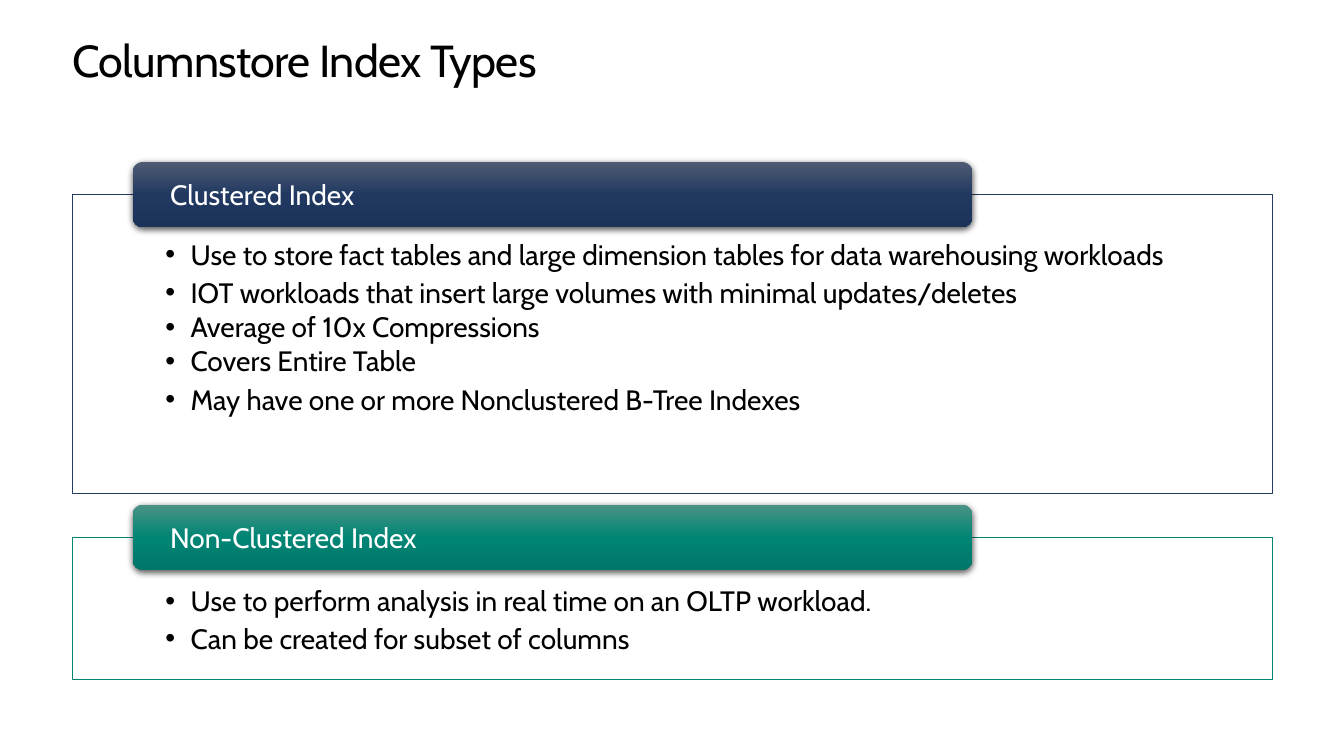
from copy import deepcopy

from pptx import Presentation
from pptx.dml.color import RGBColor as RGB
from pptx.enum.shapes import MSO_SHAPE as SHAPE
from pptx.enum.text import MSO_ANCHOR as ANCHOR, MSO_AUTO_SIZE as AUTO, PP_ALIGN as ALIGN
from pptx.oxml.ns import qn
from pptx.oxml.xmlchemy import OxmlElement
from pptx.util import Inches, Pt

BLACK = RGB(0x00, 0x00, 0x00)
WHITE = RGB(0xFF, 0xFF, 0xFF)
NAVY = RGB(0x24, 0x3A, 0x5E)
TEAL = RGB(0x00, 0x85, 0x75)
NAVY_SHADES = RGB(0x50, 0x5B, 0x73), RGB(0x21, 0x39, 0x61), RGB(0x1B, 0x32, 0x59)
TEAL_SHADES = RGB(0x4B, 0x93, 0x85), TEAL, RGB(0x00, 0x76, 0x68)

TIGHT, NORMAL = 0.9, 1.0
SECTIONS = [
    ("Clustered Index", NAVY, NAVY_SHADES, 5.94, 9.11, [
        ("Use to store fact tables and large dimension tables for data warehousing workloads", TIGHT),
        ("IOT workloads that insert large volumes with minimal updates/deletes", NORMAL),
        ("Average of 10x Compressions", TIGHT),
        ("Covers Entire Table", TIGHT),
        ("May have one or more Nonclustered B-Tree Indexes", NORMAL),
    ]),
    ("Non-Clustered Index", TEAL, TEAL_SHADES, 16.4, 4.34, [
        ("Use to perform analysis in real time on an OLTP workload.", NORMAL),
        ("Can be created for subset of columns", NORMAL),
    ]),
]


def assign(obj, values):
    for name, value in values.items():
        setattr(obj, name, value)


def add_child(parent, tag, **attrs):
    child = OxmlElement(tag)
    for name, value in attrs.items():
        child.set(name, str(value))
    parent.append(child)
    return child


class Deck:
    """Style and current slide; 20 columns inside the margin, rows half a tab high."""

    FONT = "Cabin"
    MARGIN, COL, ROW = 0.72, 0.595, 0.325
    COLS = 20

    def __init__(self, prs):
        self.slide = prs.slides.add_slide(prs.slide_layouts[3])

    def box(self, col, row, cols, rows):
        return dict(left=Inches(self.MARGIN + col * self.COL), top=Inches(row * self.ROW),
                    width=Inches(cols * self.COL), height=Inches(rows * self.ROW))

    def frame(self, sp, anchor, left=0, top=0, bottom=0):
        tf = sp.text_frame
        assign(tf, dict(word_wrap=True, auto_size=AUTO.NONE, vertical_anchor=anchor,
                        margin_left=Inches(left), margin_right=Inches(left),
                        margin_top=Inches(top), margin_bottom=Inches(bottom)))
        return tf

    def add_text(self, p, text, color, size=20, spacing=NORMAL, after=0):
        assign(p, dict(alignment=ALIGN.LEFT, line_spacing=spacing,
                       space_before=Pt(0), space_after=Pt(after)))
        r = p.add_run()
        r.text = text
        assign(r.font, dict(name=self.FONT, size=Pt(size)))
        r.font.color.rgb = color
        return r

    def title(self, text):
        sp = self.slide.shapes.title
        assign(sp, self.box(0, 1.08, self.COLS, 1.55))
        p = self.frame(sp, ANCHOR.TOP).paragraphs[0]
        r = self.add_text(p, text, BLACK, size=32, spacing=Pt(36.2))
        r.font._element.set("spc", "-50")

    def panel(self, sp, row, rows, color, items):
        assign(sp, self.box(0, row, self.COLS, rows))
        sp.fill.solid()
        sp.fill.fore_color.rgb = WHITE
        white = sp._element.spPr.find(qn("a:solidFill")).find(qn("a:srgbClr"))
        add_child(white, "a:alpha", val=90000)
        sp.line.color.rgb = color
        sp.line.width = Pt(0.5)
        tf = self.frame(sp, ANCHOR.TOP, left=0.92, top=0.46, bottom=0.16)
        for i, (text, spacing) in enumerate(items):
            p = tf.add_paragraph() if i else tf.paragraphs[0]
            p.level = 1
            self.bullet(p)
            self.add_text(p, text, BLACK, spacing=spacing, after=3)

    def bullet(self, p):
        pPr = p._p.get_or_add_pPr()
        pPr.set("marL", str(Inches(0.25)))
        pPr.set("indent", str(-Inches(0.25)))
        add_child(pPr, "a:buFont", typeface="Arial")
        add_child(pPr, "a:buChar", char="•")

    def tab(self, text, row, shades):
        """Header straddling the top edge of the panel that starts at row."""
        sp = self.slide.shapes.add_shape(SHAPE.ROUNDED_RECTANGLE, **self.box(1, row - 1, 14, 2))
        sp.fill.gradient()
        sp.fill.gradient_angle = 270
        stops = sp._element.spPr.find(qn("a:gradFill")).find(qn("a:gsLst"))
        stops.append(deepcopy(stops[-1]))
        for stop, position, shade in zip(sp.fill.gradient_stops, (0, 0.5, 1), shades):
            stop.position = position
            stop.color.rgb = shade
        sp.line.fill.background()
        self.shadow(sp)
        p = self.frame(sp, ANCHOR.MIDDLE, left=0.34).paragraphs[0]
        self.add_text(p, text, WHITE)

    def shadow(self, sp):
        sp.shadow.inherit = False
        effects = sp._element.spPr.find(qn("a:effectLst"))
        outer = add_child(effects, "a:outerShdw", blurRad=Pt(4.5), dist=Pt(1.5),
                          dir=90 * 60000, rotWithShape=0)
        add_child(add_child(outer, "a:srgbClr", val=BLACK), "a:alpha", val=63000)


def main():
    prs = Presentation()
    prs.slide_width, prs.slide_height = Inches(13.33), Inches(7.5)
    deck = Deck(prs)
    deck.title("Columnstore Index Types")
    bodies = list(deck.slide.placeholders)[1:]
    for body, (name, color, shades, row, rows, items) in zip(bodies, SECTIONS):
        deck.panel(body, row, rows, color, items)
        deck.tab(name, row, shades)
    prs.save("out.pptx")


if __name__ == "__main__":
    main()
